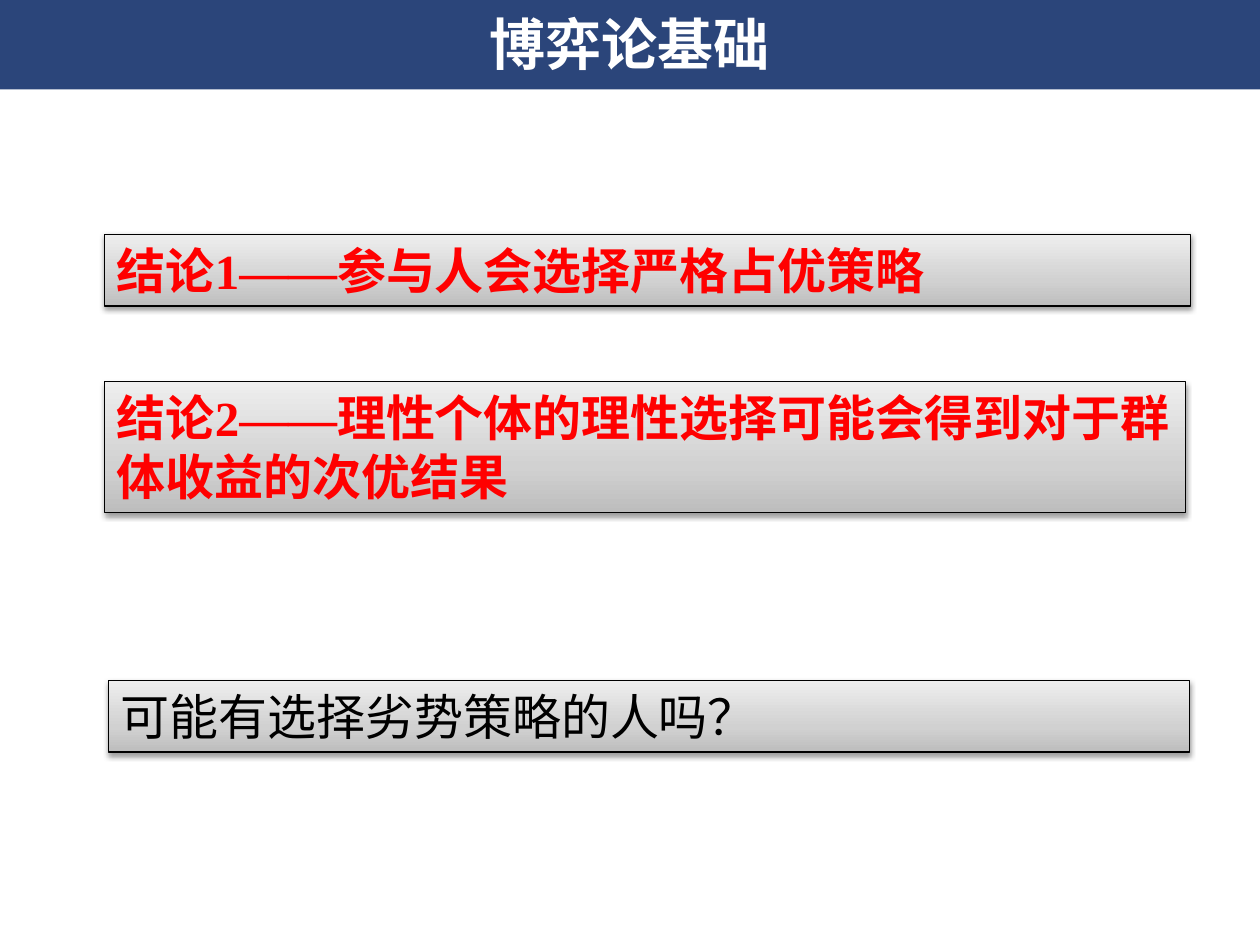
from lxml import etree
from pptx import Presentation, util as u
from pptx.dml.color import RGBColor
from pptx.enum import shapes, text
from pptx.oxml.ns import qn


def color(code):
    return RGBColor.from_string(code)


def node(parent, tag, **attrs):
    return etree.SubElement(parent, qn(tag), {k: str(v) for k, v in attrs.items()})


def write(frame, words, size=28, font="Calibri", ink="000000", bold=False,
          align=text.PP_ALIGN.LEFT, anchor=text.MSO_ANCHOR.TOP):
    frame.word_wrap = True
    frame.vertical_anchor = anchor
    para = frame.paragraphs[0]
    para.alignment = align
    run = para.add_run()
    run.text = words
    run.font.size = u.Pt(size)
    run.font.name = font
    run.font.bold = bold
    run.font.color.rgb = color(ink)


class Deck:
    navy, white, black, red = "002060", "FFFFFF", "000000", "FF0000"
    stops = [(0, "BDBDBD"), (35, "D1D1D1"), (100, "EEEEEE")]

    def __init__(self):
        self.prs = Presentation()
        self.prs.slide_width = u.Inches(10)
        self.prs.slide_height = u.Inches(7.5)
        self.slide = self.prs.slides.add_slide(self.prs.slide_layouts[6])

    def rect(self, *box):
        shape = self.slide.shapes.add_shape(
            shapes.MSO_SHAPE.RECTANGLE, *[u.Inches(n) for n in box])
        shape.shadow.inherit = False
        return shape

    def title(self, words):
        bar = self.rect(0, -0.03, 10, 0.74)
        bar.fill.solid()
        bar.fill.fore_color.rgb = color(self.navy)
        tint = bar.fill._xPr.find(".//" + qn("a:srgbClr"))
        node(tint, "a:alpha", val=83000)
        bar.line.fill.background()
        write(bar.text_frame, words, size=32, ink=self.white, bold=True,
              align=text.PP_ALIGN.CENTER, anchor=text.MSO_ANCHOR.MIDDLE)

    def panel(self, box, words, **style):
        shape = self.rect(*box)
        shape.line.color.rgb = color(self.black)
        shape.line.width = u.Pt(0.75)
        self.shade(shape)
        self.drop(shape)
        write(shape.text_frame, words, **style)
        shape.text_frame.auto_size = text.MSO_AUTO_SIZE.SHAPE_TO_FIT_TEXT

    def shade(self, shape):
        shape.fill.gradient()
        shape.fill.gradient_angle = 90
        stops = shape.element.spPr.find(".//" + qn("a:gsLst"))
        for old in list(stops):
            stops.remove(old)
        for pos, code in self.stops:
            node(node(stops, "a:gs", pos=pos * 1000), "a:srgbClr", val=code)

    def drop(self, shape):
        effects = shape.element.spPr.find(qn("a:effectLst"))
        outer = node(effects, "a:outerShdw", blurRad=40000, dist=20000,
                     dir=5400000, rotWithShape=0)
        node(node(outer, "a:srgbClr", val=self.black), "a:alpha", val=38000)


def main():
    deck = Deck()
    deck.title("博弈论基础")

    # Conclusions
    strong = dict(font="Times New Roman", ink=deck.red, bold=True)
    deck.panel((0.83, 1.86, 8.62, 0.57), "结论1——参与人会选择严格占优策略", **strong)
    deck.panel((0.83, 3.03, 8.58, 1.04),
               "结论2——理性个体的理性选择可能会得到对于群体收益的次优结果", **strong)

    # Open question
    deck.panel((0.86, 5.4, 8.58, 0.57), "可能有选择劣势策略的人吗？")

    deck.prs.save("out.pptx")


if __name__ == "__main__":
    main()
